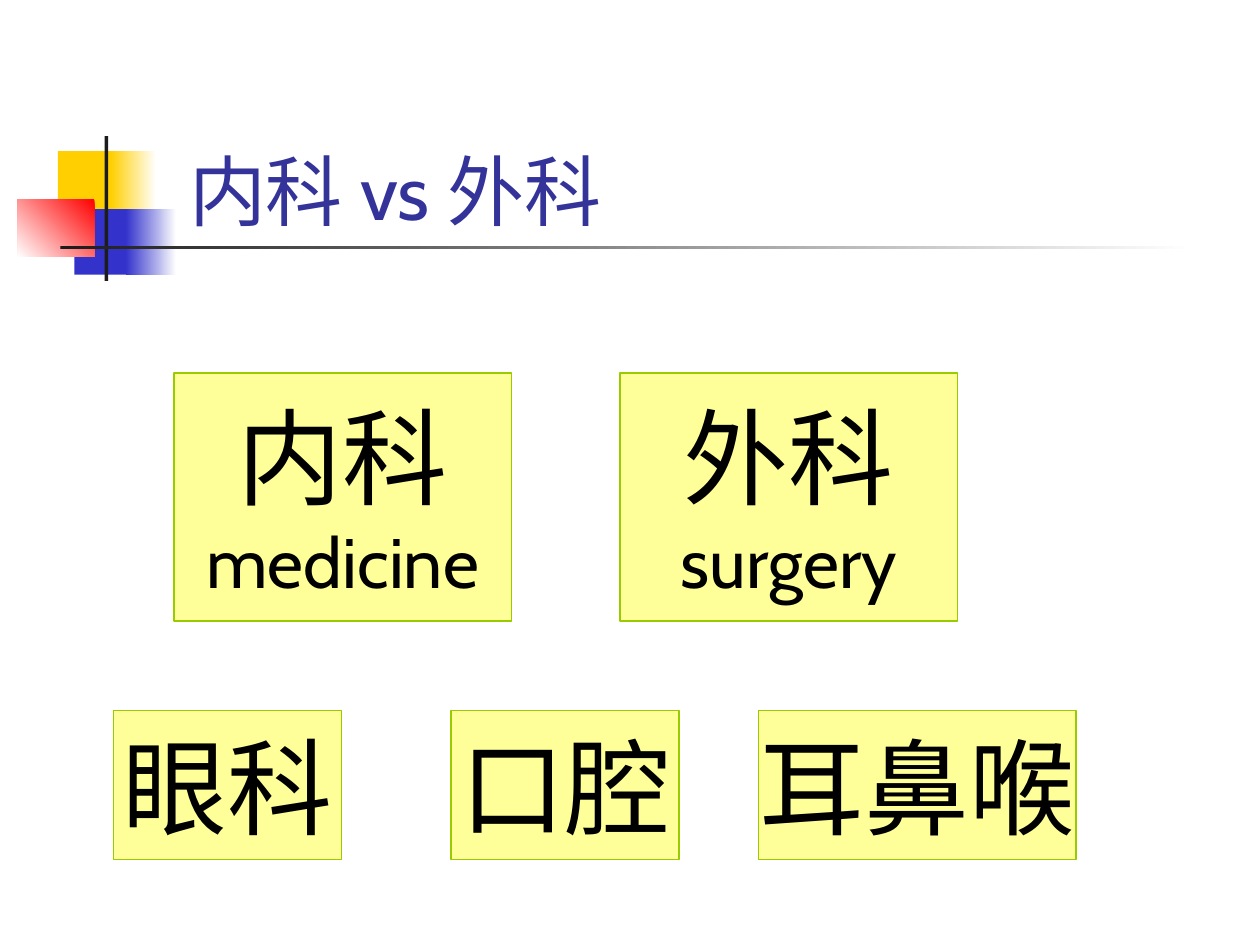
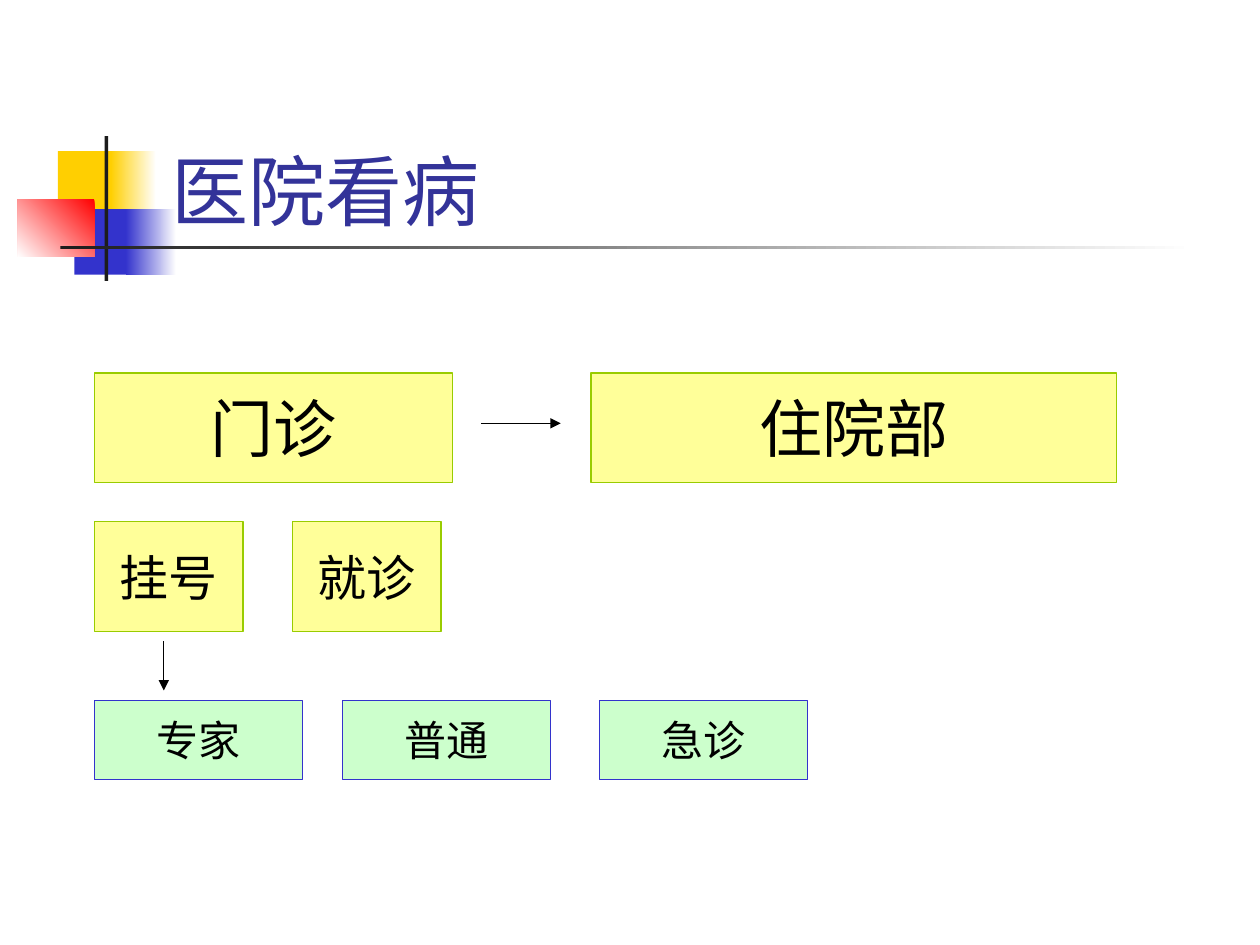
from pptx import Presentation
from pptx.dml.color import RGBColor
from pptx.enum.shapes import MSO_CONNECTOR as CONN, MSO_SHAPE as SHAPE
from pptx.enum.text import MSO_ANCHOR as ANCHOR, PP_ALIGN as ALIGN
from pptx.oxml.ns import qn
from pptx.util import Inches, Pt
from lxml.etree import SubElement

FONT = "Cabin"
COLORS = {
    "white": "FFFFFF", "black": "000000", "ink": "1C1C1C", "title": "333399",
    "gold": "FFCF01", "blue": "3333CC", "red": "FF0000",
    "yellow": "FFFF99", "lime": "99CC00", "mint": "CCFFCC",
}

# left, top, width, height, colour, angle of the fade to white (None = solid)
TITLE_DECORATION = [
    (0.46, 1.2, 0.48, 0.52, "gold", None),
    (0.88, 1.2, 0.36, 0.52, "gold", 0),
    (0.59, 1.66, 0.46, 0.52, "blue", None),
    (1.0, 1.66, 0.4, 0.52, "blue", 0),
    (0.14, 1.58, 0.61, 0.46, "red", 225),
    (0.83, 1.08, 0.03, 1.15, "ink", None),
    (0.48, 1.95, 9, 0.03, "ink", 0),
]

BOX_STYLES = {"department": ("yellow", "lime"), "registration": ("mint", "blue")}

# Each row: top, height, style, text sizes by line, boxes as (left, width, lines)
SLIDES = [
    {
        "title": "内科 vs 外科",
        "title_indent": 0.14,
        "rows": [
            (2.96, 1.97, "department", (60, 40), [
                (1.38, 2.68, ["内科", "medicine"]),
                (4.92, 2.68, ["外科", "surgery"])]),
            (5.64, 1.18, "department", (60,), [
                (0.9, 1.81, ["眼科"]),
                (3.58, 1.81, ["口腔"]),
                (6.02, 2.52, ["耳鼻喉"])]),
        ],
        "arrows": [],
    },
    {
        "title": "医院看病",
        "title_indent": 0,
        "rows": [
            (2.96, 0.87, "department", (36,), [
                (0.75, 2.84, ["门诊"]),
                (4.69, 4.17, ["住院部"])]),
            (4.14, 0.87, "department", (28,), [
                (0.75, 1.18, ["挂号"]),
                (2.32, 1.18, ["就诊"])]),
            (5.56, 0.63, "registration", (24,), [
                (0.75, 1.65, ["专家"]),
                (2.72, 1.65, ["普通"]),
                (4.76, 1.65, ["急诊"])]),
        ],
        "arrows": [(3.82, 3.36, 4.45, 3.36), (1.3, 5.09, 1.3, 5.48)],
    },
]


def rgb(name):
    return RGBColor.from_string(COLORS[name])


def inches(*values):
    return [Inches(v) for v in values]


def style_text(p, size, color):
    for r in p.runs:
        r.font.name = FONT
        r.font.size = Pt(size)
        r.font.color.rgb = rgb(color)


def add_rect(s, left, top, width, height, color, fade=None):
    sp = s.shapes.add_shape(SHAPE.RECTANGLE, *inches(left, top, width, height))
    sp.shadow.inherit = False
    sp.line.fill.background()
    if fade is None:
        sp.fill.solid()
        sp.fill.fore_color.rgb = rgb(color)
    else:
        sp.fill.gradient()
        sp.fill.gradient_angle = fade
        for stop, name in zip(sp.fill.gradient_stops, (color, "white")):
            stop.color.rgb = rgb(name)
    return sp


def add_title(s, text, indent):
    for part in TITLE_DECORATION:
        add_rect(s, *part)
    tf = s.shapes.add_textbox(*inches(1.26, 0.67, 8.52, 1.25)).text_frame
    tf.word_wrap = True
    tf.vertical_anchor = ANCHOR.BOTTOM
    tf.margin_left = Inches(0.1 + indent)
    tf.text = text
    style_text(tf.paragraphs[0], 44, "title")


def add_box(s, left, top, width, height, style, lines, sizes):
    fill, border = BOX_STYLES[style]
    sp = add_rect(s, left, top, width, height, fill)
    sp.line.color.rgb = rgb(border)
    sp.line.width = Pt(0.75)
    tf = sp.text_frame
    tf.word_wrap = False
    tf.vertical_anchor = ANCHOR.MIDDLE
    tf.text = "\n".join(lines)
    for p, size in zip(tf.paragraphs, sizes):
        p.alignment = ALIGN.CENTER
        style_text(p, size, "black")


def add_arrow(s, *ends):
    line = s.shapes.add_connector(CONN.STRAIGHT, *inches(*ends))
    line.line.color.rgb = rgb("black")
    line.line.width = Pt(0.75)
    SubElement(line.line._get_or_add_ln(), qn("a:tailEnd"), type="triangle")
    SubElement(line._element.spPr, qn("a:effectLst"))


def main():
    prs = Presentation()
    prs.slide_width, prs.slide_height = inches(10, 7.5)
    for content in SLIDES:
        s = prs.slides.add_slide(prs.slide_layouts[6])
        add_title(s, content["title"], content["title_indent"])
        for top, height, style, sizes, boxes in content["rows"]:
            for left, width, lines in boxes:
                add_box(s, left, top, width, height, style, lines, sizes)
        for ends in content["arrows"]:
            add_arrow(s, *ends)
    prs.save("out.pptx")


if __name__ == "__main__":
    main()
